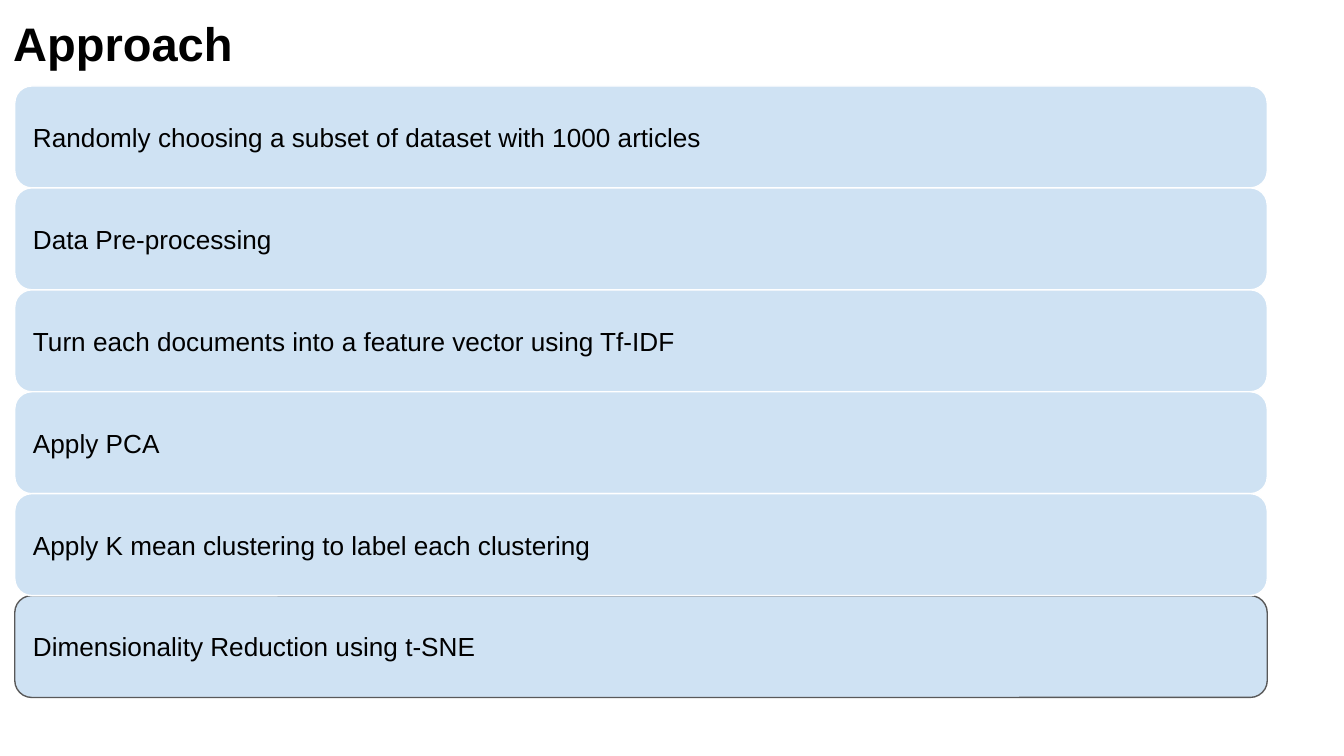
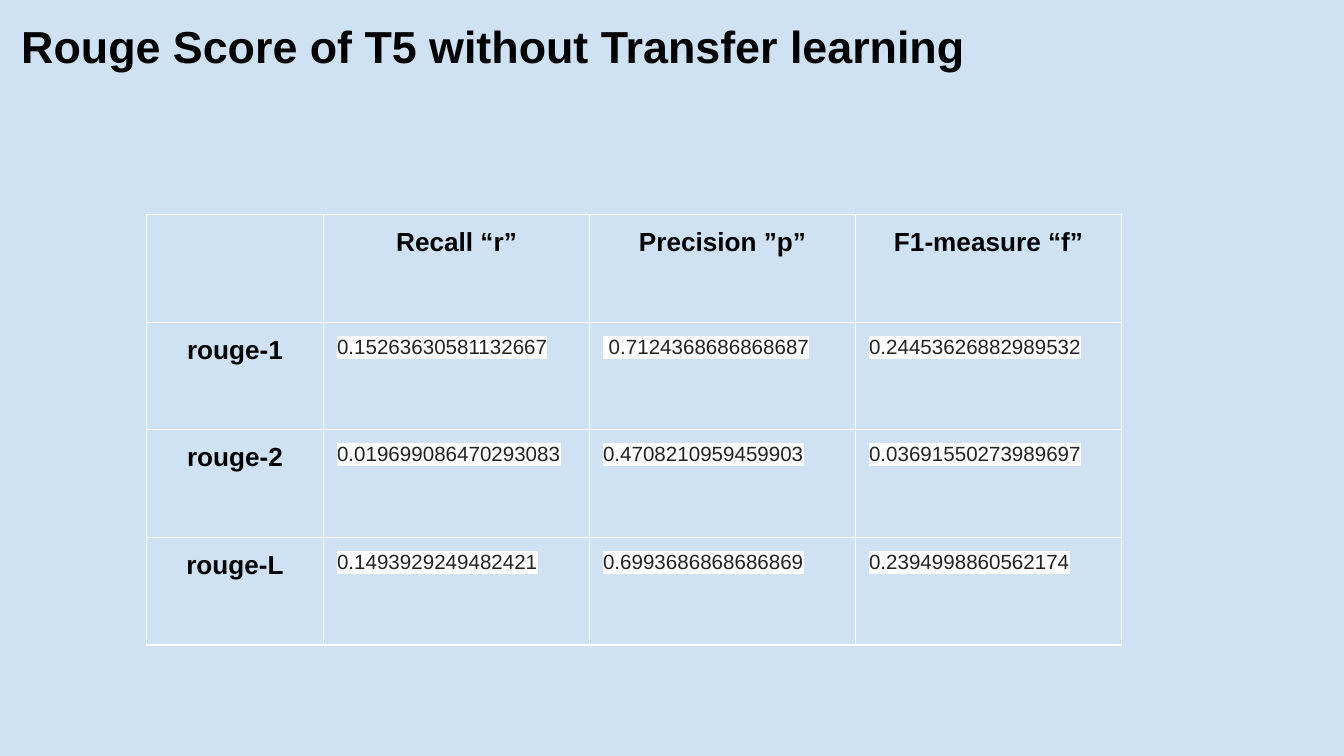
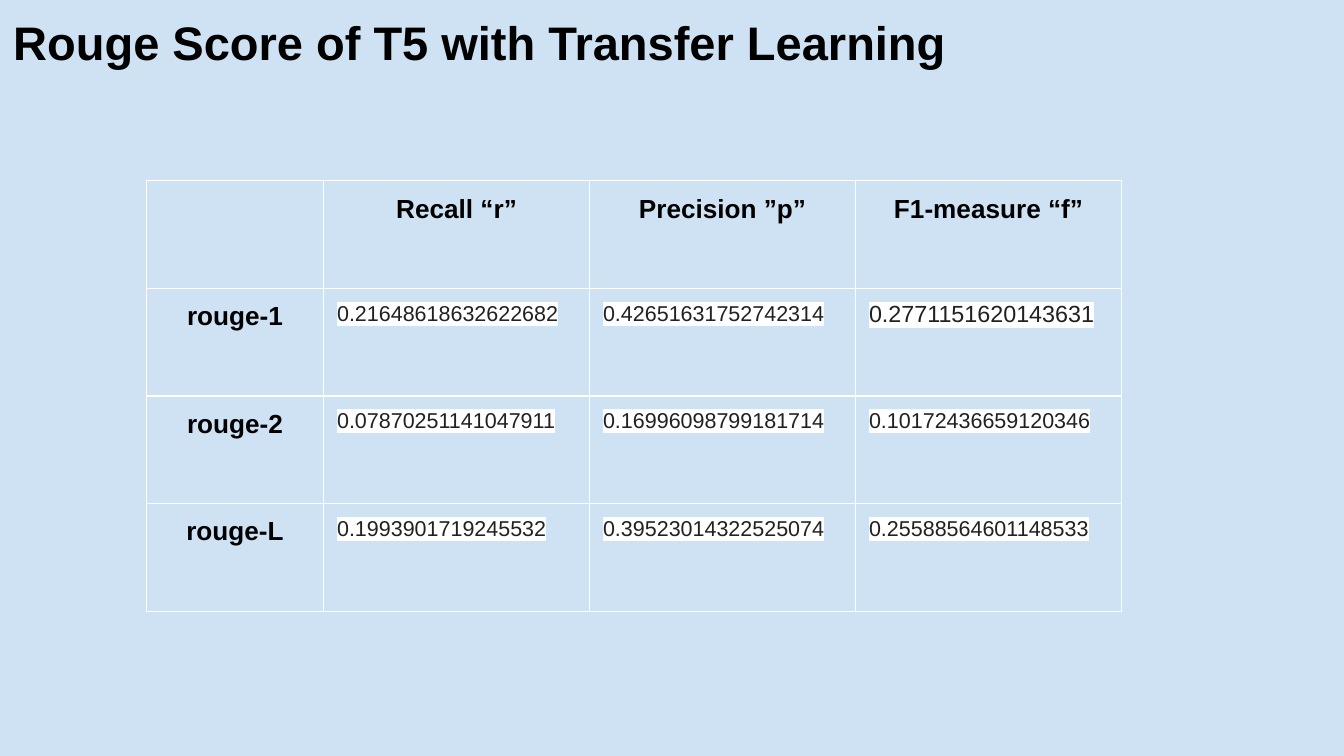
from dataclasses import dataclass

from lxml.etree import SubElement
from pptx import Presentation
from pptx.dml.color import RGBColor
from pptx.enum.shapes import MSO_SHAPE
from pptx.enum.text import MSO_ANCHOR, MSO_AUTO_SIZE, PP_ALIGN
from pptx.oxml import parse_xml
from pptx.oxml.ns import nsdecls, qn
from pptx.slide import Slide
from pptx.table import _Cell as Cell
from pptx.text.text import TextFrame
from pptx.util import Pt


@dataclass(frozen=True)
class Theme:
    font: str = "Arial"
    black: str = "000000"
    white: str = "FFFFFF"
    sky: str = "CFE2F3"
    outline: str = "595959"
    title: float = 25.2
    small_title: float = 24
    body: float = 14
    inset: float = 7.2
    line: float = 0.75


@dataclass(frozen=True)
class TextStyle:
    size: float
    bold: bool = False
    color: str = "000000"
    align: PP_ALIGN = PP_ALIGN.LEFT
    highlight: str | None = None


@dataclass(frozen=True)
class Box:
    left: float
    top: float
    width: float
    height: float

    def lengths(self) -> tuple[Pt, Pt, Pt, Pt]:
        return Pt(self.left), Pt(self.top), Pt(self.width), Pt(self.height)


@dataclass(frozen=True)
class Step:
    slot: int
    label: str
    outline: str


@dataclass(frozen=True)
class ScoreTable:
    top: float
    size: float
    color: str
    scores: tuple[tuple[str, ...], ...]
    larger: tuple[tuple[int, int, float], ...] = ()  # row, column, size


THEME = Theme()
BODY = TextStyle(THEME.body)
HEADING = TextStyle(THEME.body, bold=True, align=PP_ALIGN.CENTER)

# Approach: steps from back to front, each in its slot down the slide
STEP_BOX = Box(7.9, 46.1, 671, 54.6)
STEPS = (
    Step(0, "Randomly choosing a subset of dataset with 1000 articles", THEME.white),
    Step(1, "Data Pre-processing", THEME.white),
    Step(2, "Turn each documents into a feature vector using Tf-IDF", THEME.white),
    Step(5, "Dimensionality Reduction using t-SNE", THEME.outline),
    Step(3, "Apply PCA", THEME.white),
    Step(4, "Apply K mean clustering to label each clustering", THEME.white),
)

# Rouge scores
MEASURES = ("Recall “r”", "Precision ”p”", "F1-measure “f”")
ROUGES = ("rouge-1", "rouge-2", "rouge-L")
TABLE_LEFT = 78.5
LABEL_WIDTH, SCORE_WIDTH, ROW_HEIGHT = 94.9, 142.5, 57.65

WITHOUT_TRANSFER = ScoreTable(115, 11, "222222", (
    ("0.15263630581132667", " 0.7124368686868687", "0.24453626882989532"),
    ("0.019699086470293083", "0.4708210959459903", "0.03691550273989697"),
    ("0.1493929249482421", "0.6993686868686869", "0.2394998860562174"),
))
WITH_TRANSFER = ScoreTable(96.9, 11.5, "212121", (
    ("0.21648618632622682", "0.42651631752742314", "0.2771151620143631"),
    ("0.07870251141047911", "0.16996098799181714", "0.10172436659120346"),
    ("0.1993901719245532", "0.39523014322525074", "0.25588564601148533"),
), larger=((1, 3, 12.5),))


def write(frame: TextFrame, text: str, style: TextStyle) -> None:
    frame.text = text
    paragraph = frame.paragraphs[0]
    paragraph.alignment = style.align
    for run in paragraph.runs:
        font = run.font
        font.name, font.size, font.bold = THEME.font, Pt(style.size), style.bold
        font.color.rgb = RGBColor.from_string(style.color)
        if style.highlight:
            marker = parse_xml(f'<a:highlight {nsdecls("a")}>'
                               f'<a:srgbClr val="{style.highlight}"/></a:highlight>')
            run._r.rPr.find(qn("a:solidFill")).addnext(marker)


def set_insets(holder: TextFrame | Cell) -> None:
    holder.margin_left = holder.margin_right = Pt(THEME.inset)
    holder.margin_top = holder.margin_bottom = Pt(THEME.inset)


def add_slide(deck: Presentation, background: str) -> Slide:
    slide = deck.slides.add_slide(deck.slide_layouts[6])
    slide.background.fill.solid()
    slide.background.fill.fore_color.rgb = RGBColor.from_string(background)
    return slide


def add_title(slide: Slide, text: str, box: Box, size: float = THEME.title) -> None:
    frame = slide.shapes.add_textbox(*box.lengths()).text_frame
    frame.word_wrap = True
    frame.auto_size = MSO_AUTO_SIZE.NONE
    set_insets(frame)
    write(frame, text, TextStyle(size, bold=True))


def add_step(slide: Slide, step: Step) -> None:
    box = Box(STEP_BOX.left, STEP_BOX.top + step.slot * STEP_BOX.height,
              STEP_BOX.width, STEP_BOX.height)
    bar = slide.shapes.add_shape(MSO_SHAPE.ROUNDED_RECTANGLE, *box.lengths())
    bar.shadow.inherit = False
    bar.fill.solid()
    bar.fill.fore_color.rgb = RGBColor.from_string(THEME.sky)
    bar.line.color.rgb = RGBColor.from_string(step.outline)
    bar.line.width = Pt(THEME.line)
    frame = bar.text_frame
    frame.word_wrap = True
    frame.vertical_anchor = MSO_ANCHOR.MIDDLE
    set_insets(frame)
    write(frame, step.label, BODY)


def add_borders(cell: Cell) -> None:
    properties = cell._tc.get_or_add_tcPr()
    for position, side in enumerate(("a:lnL", "a:lnR", "a:lnT", "a:lnB")):
        border = SubElement(properties, qn(side), w=str(Pt(THEME.line)))
        fill = SubElement(border, qn("a:solidFill"))
        SubElement(fill, qn("a:srgbClr"), val=THEME.white)
        properties.insert(position, border)


def add_scores(slide: Slide, data: ScoreTable) -> None:
    rows = [("", *MEASURES)]
    rows += [(rouge, *scores) for rouge, scores in zip(ROUGES, data.scores)]
    widths = [LABEL_WIDTH] + [SCORE_WIDTH] * len(MEASURES)
    box = Box(TABLE_LEFT, data.top, sum(widths), ROW_HEIGHT * len(rows))
    table = slide.shapes.add_table(len(rows), len(widths), *box.lengths()).table
    table.first_row = table.horz_banding = False
    for column, width in zip(table.columns, widths):
        column.width = Pt(width)
    for row in table.rows:
        row.height = Pt(ROW_HEIGHT)

    larger = {(row, column): size for row, column, size in data.larger}
    for r, texts in enumerate(rows):
        for c, text in enumerate(texts):
            cell = table.cell(r, c)
            cell.fill.background()
            set_insets(cell)
            add_borders(cell)
            score = TextStyle(larger.get((r, c), data.size), color=data.color,
                              align=PP_ALIGN.JUSTIFY, highlight=THEME.white)
            write(cell.text_frame, text, score if r and c else HEADING)


def main() -> None:
    deck = Presentation()
    deck.slide_width, deck.slide_height = Pt(720), Pt(405)

    # Approach
    approach = add_slide(deck, THEME.white)
    add_title(approach, "Approach", Box(0, 0.7, 671, 45.4))
    for step in STEPS:
        add_step(approach, step)

    # Scores without transfer learning
    without = add_slide(deck, THEME.sky)
    add_scores(without, WITHOUT_TRANSFER)
    add_title(without, "Rouge Score of T5 without Transfer learning",
              Box(4.3, 2.9, 702.7, 43.9), THEME.small_title)

    # Scores with transfer learning
    with_transfer = add_slide(deck, THEME.sky)
    add_title(with_transfer, "Rouge Score of T5 with Transfer Learning",
              Box(0, 0, 671, 45.4))
    add_scores(with_transfer, WITH_TRANSFER)

    deck.save("out.pptx")


if __name__ == "__main__":
    main()
